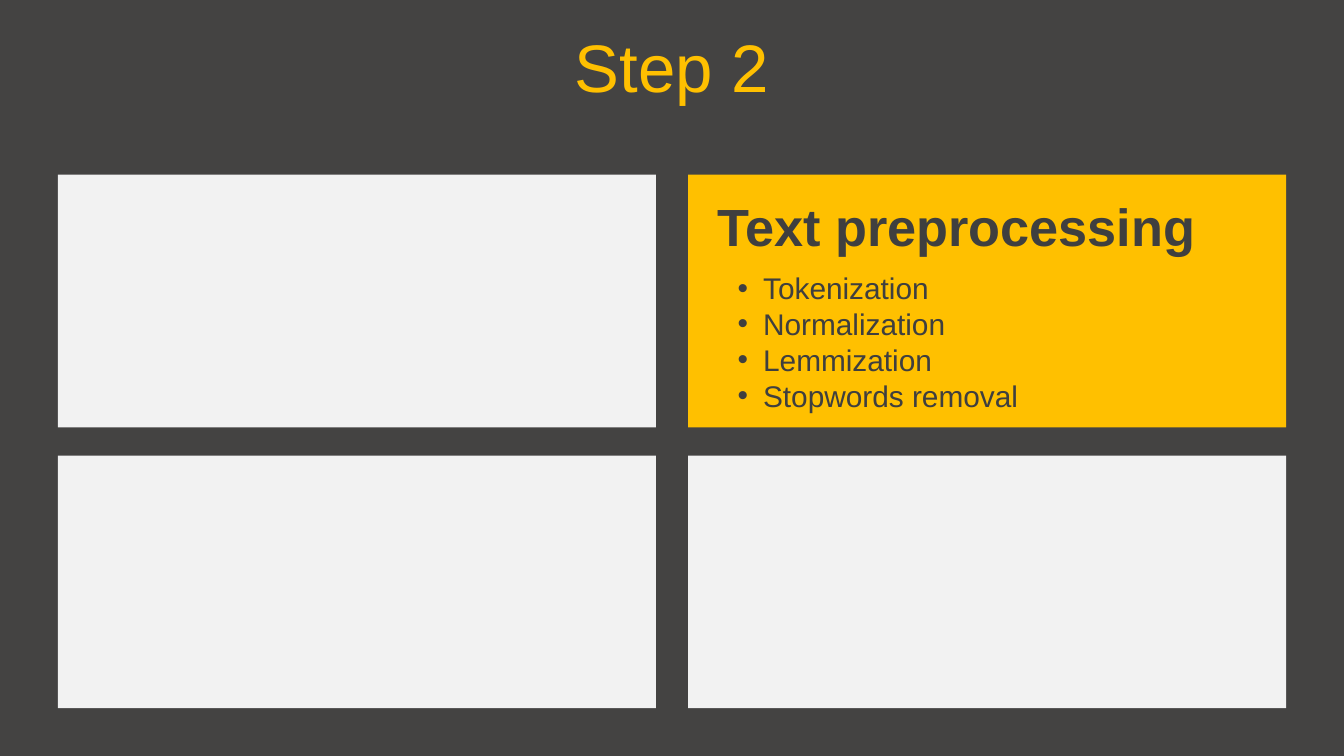
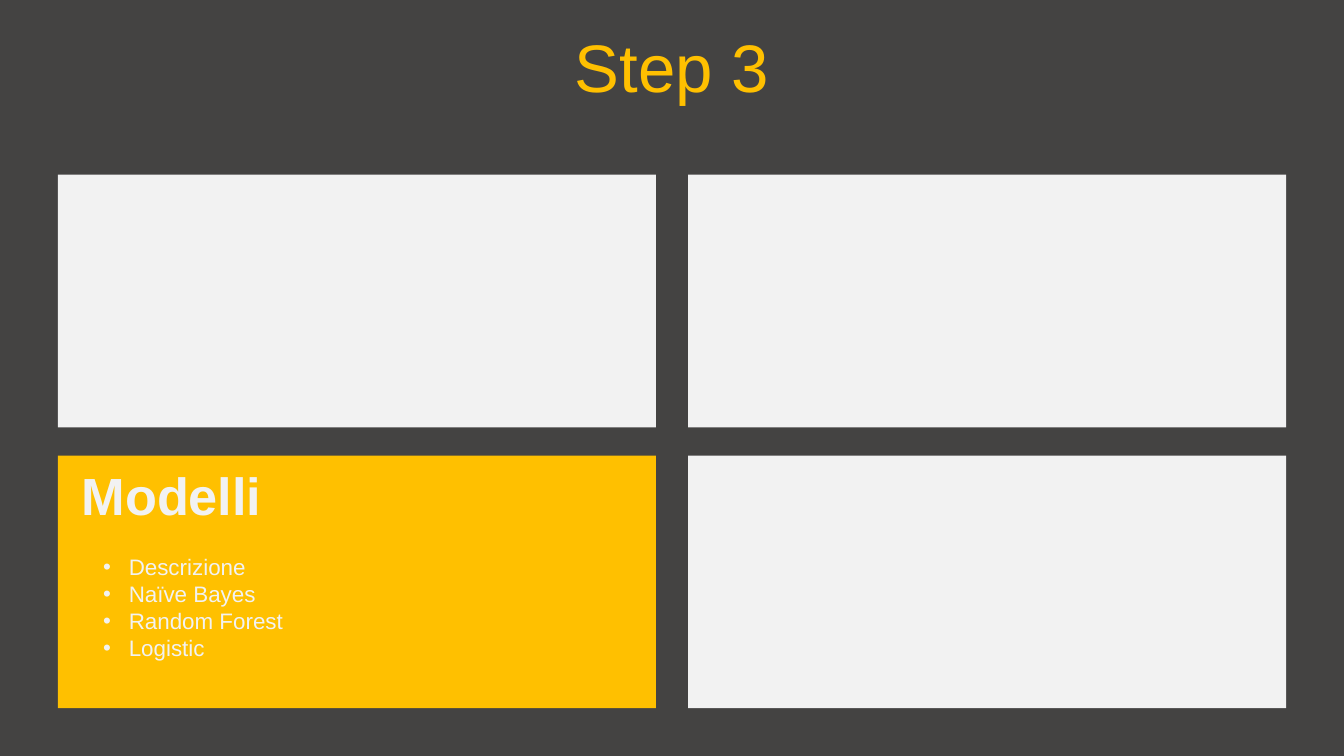
from lxml.etree import SubElement
from pptx import Presentation
from pptx.dml.color import RGBColor as RGB
from pptx.enum.shapes import MSO_SHAPE as Shape
from pptx.enum.text import MSO_ANCHOR as Anchor, PP_ALIGN as Align
from pptx.oxml.ns import qn
from pptx.util import Inches, Pt

STEPS = [
    {
        "title": "Step 2",
        "active": (0, 1),  # row, column
        "heading": "Text preprocessing",
        "topics": ["Tokenization", "Normalization", "Lemmization", "Stopwords removal"],
        "ink": "dark",
        "topic_size": 16,
        "heading_offset": (0.12, 0.10),
        "topics_offset": (0.27, 0.66),
        "topics_height": 1.18,
    },
    {
        "title": "Step 3",
        "active": (1, 0),
        "heading": "Modelli",
        "topics": ["Descrizione", "Naïve Bayes", "Random Forest", "Logistic"],
        "ink": "light",
        "topic_size": 12,
        "heading_offset": (0.08, 0.01),
        "topics_offset": (0.24, 0.68),
        "topics_height": 0.91,
    },
]

COLORS = {"background": "444342", "accent": "FFC000", "light": "F2F2F2", "dark": "3F3F3F"}
FONT = "Arial"
WIDTH = 10
HEIGHT = WIDTH * 9 / 16
ROWS, COLUMNS = 2, 2
MARGIN, GRID_TOP = 0.43, 1.3
CARD_WIDTH, CARD_HEIGHT = 4.45, 1.88
COLUMN_GAP = WIDTH - 2 * MARGIN - COLUMNS * CARD_WIDTH
ROW_GAP = 0.21
BULLET_INDENT = 0.19


def color(name):
    return RGB.from_string(COLORS[name])


def add_bullet(paragraph, ink):
    properties = paragraph._p.get_or_add_pPr()
    indent = Inches(BULLET_INDENT)
    properties.set("marL", str(indent))
    properties.set("indent", str(-indent))
    bullet_color = SubElement(properties, qn("a:buClr"))
    SubElement(bullet_color, qn("a:srgbClr"), val=COLORS[ink])
    SubElement(properties, qn("a:buFont"), typeface=FONT)
    SubElement(properties, qn("a:buChar"), char="•")


def add_text(slide, lines, box, size, ink, bold=False, align=Align.LEFT,
             anchor=Anchor.TOP, bullets=False):
    frame = slide.shapes.add_textbox(*map(Inches, box)).text_frame
    frame.word_wrap = True
    frame.vertical_anchor = anchor
    frame.text = "\n".join(lines)
    for paragraph in frame.paragraphs:
        paragraph.alignment = align
        font = paragraph.runs[0].font
        font.name, font.size, font.bold = FONT, Pt(size), bold
        font.color.rgb = color(ink)
        if bullets:
            add_bullet(paragraph, ink)


def card_corner(row, column):
    return (MARGIN + column * (CARD_WIDTH + COLUMN_GAP),
            GRID_TOP + row * (CARD_HEIGHT + ROW_GAP))


def add_card(slide, row, column, fill):
    box = (*card_corner(row, column), CARD_WIDTH, CARD_HEIGHT)
    card = slide.shapes.add_shape(Shape.RECTANGLE, *map(Inches, box))
    card.shadow.inherit = False
    card.fill.solid()
    card.fill.fore_color.rgb = color(fill)
    card.line.fill.background()


def add_step(deck, step):
    slide = deck.slides.add_slide(deck.slide_layouts[6])
    background = slide.background.fill
    background.solid()
    background.fore_color.rgb = color("background")
    add_text(slide, [step["title"]], (0, 0.17, WIDTH, 0.63), 36, "accent",
             align=Align.CENTER, anchor=Anchor.MIDDLE)

    for row in range(ROWS):
        for column in range(COLUMNS):
            active = (row, column) == step["active"]
            add_card(slide, row, column, "accent" if active else "light")

    left, top = card_corner(*step["active"])
    dx, dy = step["heading_offset"]
    add_text(slide, [step["heading"]], (left + dx, top + dy, 3.9, 0.57), 28,
             step["ink"], bold=True)
    dx, dy = step["topics_offset"]
    add_text(slide, step["topics"], (left + dx, top + dy, 2.87, step["topics_height"]),
             step["topic_size"], step["ink"], bullets=True)


def main():
    deck = Presentation()
    deck.slide_width, deck.slide_height = Inches(WIDTH), Inches(HEIGHT)
    for step in STEPS:
        add_step(deck, step)
    deck.save("out.pptx")


if __name__ == "__main__":
    main()
